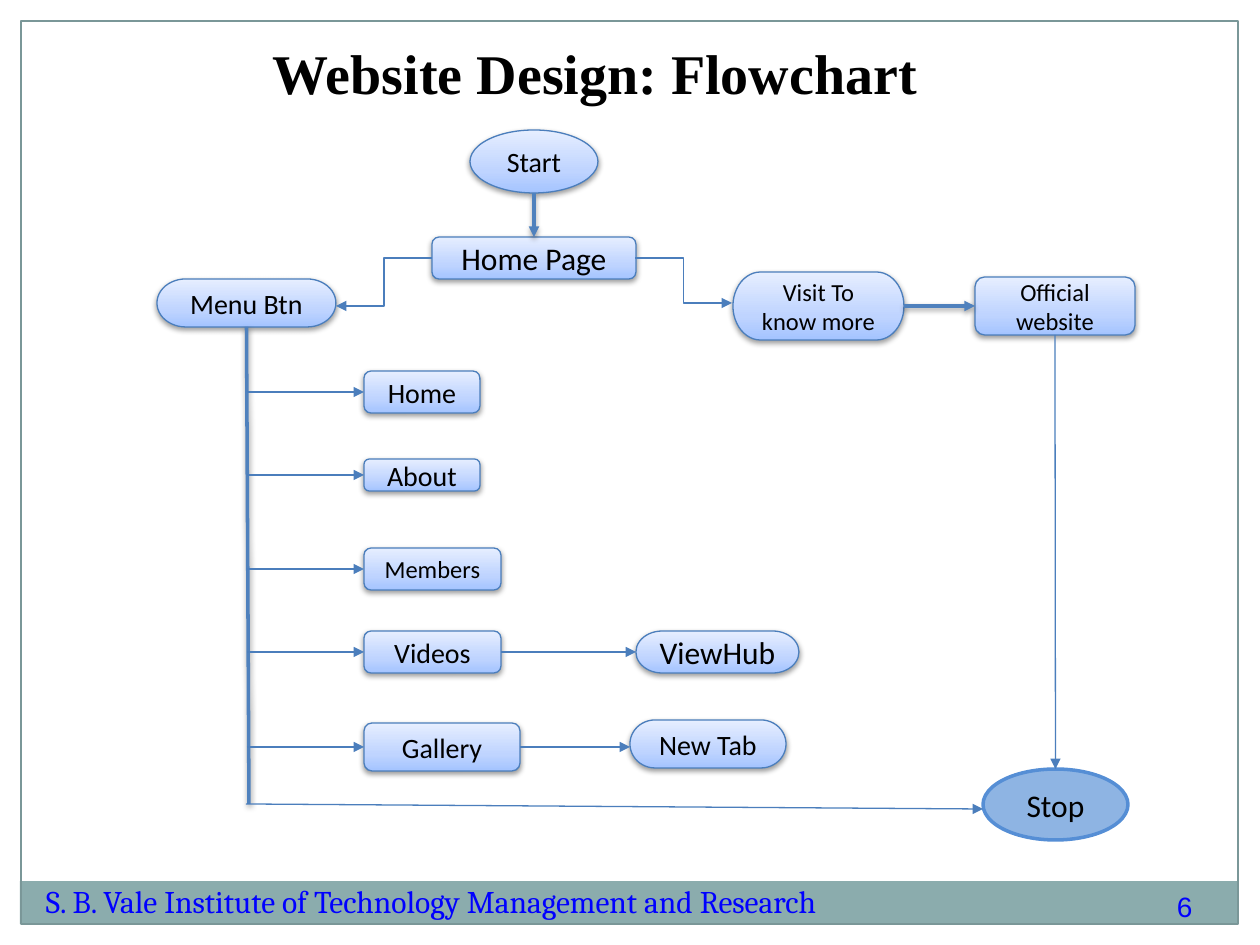
from copy import deepcopy

from pptx import Presentation
from pptx.dml.color import RGBColor
from pptx.enum.shapes import MSO_CONNECTOR, MSO_SHAPE
from pptx.enum.text import MSO_ANCHOR, PP_ALIGN
from pptx.oxml import parse_xml
from pptx.oxml.ns import nsdecls, qn
from pptx.util import Pt

PX = 914400 / 126
COLORS = {
    "black": "000000", "blue": "0000FF", "band": "8BACAD", "frame": "7A9798",
    "outline": "4B7EBC", "thick": "4F81BD", "stop": "8EB4E3", "stop_line": "558ED5",
}
COLORS = {name: RGBColor.from_string(value) for name, value in COLORS.items()}
NODE_GRADIENT = [(0, "A4C4FF"), (0.35, "BFD4FF"), (1, "E6EEFF")]
SHADOW = ('<a:outerShdw blurRad="40000" dist="20000" dir="5400000" rotWithShape="0">'
          '<a:srgbClr val="000000"><a:alpha val="38000"/></a:srgbClr></a:outerShdw>')


def write(shape, text, size, font="Calibri", color="black", bold=False,
          align=PP_ALIGN.LEFT, anchor=MSO_ANCHOR.TOP, inset=0, wrap=True):
    frame = shape.text_frame
    frame.word_wrap = wrap
    frame.vertical_anchor = anchor
    frame.margin_left = frame.margin_right = round(inset * PX)
    frame.margin_top = frame.margin_bottom = round(inset * PX / 2)
    paragraph = frame.paragraphs[0]
    paragraph.alignment = align
    run = paragraph.add_run()
    run.text = text
    run.font.size, run.font.name, run.font.bold = Pt(size), font, bold
    run.font.color.rgb = COLORS[color]


def set_shadow(shape, visible):
    effects = SHADOW if visible else ""
    shape._element.spPr.append(
        parse_xml(f"<a:effectLst {nsdecls('a')}>{effects}</a:effectLst>"))


presentation = Presentation()
presentation.slide_width, presentation.slide_height = round(1260 * PX), round(945 * PX)
slide = presentation.slides.add_slide(presentation.slide_layouts[5])
shapes = slide.shapes

# Footer band and page frame
band = shapes.add_shape(MSO_SHAPE.RECTANGLE, *[round(v * PX) for v in (20, 881, 1217, 43)])
band.fill.solid()
band.fill.fore_color.rgb = COLORS["band"]
band.line.fill.background()
band.shadow.inherit = False
frame = shapes.add_shape(MSO_SHAPE.RECTANGLE, *[round(v * PX) for v in (21, 21, 1217, 903)])
frame.fill.background()
frame.line.color.rgb = COLORS["frame"]
frame.line.width = Pt(0.75)
frame.shadow.inherit = False

# Title, institute and page number
title = shapes.title
title.left, title.top, title.width, title.height = [round(v * PX) for v in (273, 39, 735, 80)]
write(title, "Website Design: Flowchart", 32, font="Times New Roman", bold=True)
institute = shapes.add_textbox(*[round(v * PX) for v in (46, 882, 835, 42)])
write(institute, "S. B. Vale Institute of Technology Management and Research", 18,
      font="Cambria", color="blue")
page_number = shapes.add_textbox(*[round(v * PX) for v in (1177, 890, 37, 35)])
write(page_number, "6", 16, font="Arial", color="blue")

# Flowchart nodes: text, outline, left, top, width, height, text size
OVAL, BOX, PILL = MSO_SHAPE.OVAL, MSO_SHAPE.ROUNDED_RECTANGLE, MSO_SHAPE.FLOWCHART_TERMINATOR
MENU_ITEMS = ["Home", "About", "Members", "Videos", "Gallery"]
nodes = {}
for text, outline, left, top, width, height, size in [
    ("Start", OVAL, 470, 130, 128, 63, 16),
    ("Home Page", BOX, 432, 237, 204, 42, 18),
    ("Menu Btn", PILL, 157, 279, 179, 48, 16),
    ("Visit To know more", PILL, 733, 272, 171, 68, 14),
    ("Official website", BOX, 975, 277, 160, 58, 14),
    ("Home", BOX, 364, 371, 116, 42, 16),
    ("About", BOX, 364, 459, 116, 32, 16),
    ("Members", BOX, 364, 548, 137, 42, 14),
    ("Videos", BOX, 364, 631, 137, 42, 16),
    ("Gallery", BOX, 364, 723, 156, 48, 16),
    ("ViewHub", PILL, 636, 631, 163, 42, 18),
    ("New Tab", PILL, 630, 720, 156, 48, 16),
    ("Stop", OVAL, 983, 769, 145, 71, 18),
]:
    node = shapes.add_shape(outline, *[round(v * PX) for v in (left, top, width, height)])
    nodes[text] = node
    is_stop = text == "Stop"
    if is_stop:
        node.fill.solid()
        node.fill.fore_color.rgb = COLORS["stop"]
    else:
        node.fill.gradient()
        node.fill.gradient_angle = 90
        stop_list = node._element.spPr.find(qn("a:gradFill")).find(qn("a:gsLst"))
        stop_list.append(deepcopy(stop_list[-1]))
        for stop, (position, color) in zip(node.fill.gradient_stops, NODE_GRADIENT):
            stop.position = position
            stop.color.rgb = RGBColor.from_string(color)
    node.line.color.rgb = COLORS["stop_line" if is_stop else "outline"]
    node.line.width = Pt(2 if is_stop else 0.75)
    set_shadow(node, not is_stop)
    write(node, text, size, align=PP_ALIGN.CENTER, anchor=MSO_ANCHOR.MIDDLE, inset=12.6)

# Links: each end is a point or a (node, side) pair
TOP, LEFT, BOTTOM, RIGHT = range(4)
STRAIGHT, ELBOW = MSO_CONNECTOR.STRAIGHT, MSO_CONNECTOR.ELBOW
links = [
    (STRAIGHT, (534, 193), ("Home Page", TOP), True, True),
    (ELBOW, (635, 258), (732, 303), False, True),
    (ELBOW, (432, 258), (336, 306), False, True),
    (STRAIGHT, ("Visit To know more", RIGHT), ("Official website", LEFT), True, True),
    (STRAIGHT, ("Menu Btn", BOTTOM), (249, 804), True, False),
    (STRAIGHT, ("Videos", RIGHT), ("ViewHub", LEFT), False, True),
    (STRAIGHT, ("Gallery", RIGHT), (630, 747), False, True),
    (STRAIGHT, (246, 804), (983, 809), False, True),
    (STRAIGHT, ("Official website", BOTTOM), ("Stop", TOP), False, True),
]
for item in MENU_ITEMS:
    middle = (nodes[item].top + nodes[item].height / 2) / PX
    links.append((STRAIGHT, (247, round(middle)), (item, LEFT), False, True))

for route, start, end, thick, arrow in links:
    points = [(0, 0) if point[0] in nodes else point for point in (start, end)]
    link = shapes.add_connector(route, *[round(v * PX) for point in points for v in point])
    if start[0] in nodes:
        link.begin_connect(nodes[start[0]], start[1])
    if end[0] in nodes:
        link.end_connect(nodes[end[0]], end[1])
    link.line.color.rgb = COLORS["thick" if thick else "outline"]
    link.line.width = Pt(2 if thick else 0.75)
    if arrow:
        link._element.spPr.find(qn("a:ln")).append(
            parse_xml(f'<a:tailEnd {nsdecls("a")} type="triangle"/>'))
    set_shadow(link, thick)

presentation.save("out.pptx")
